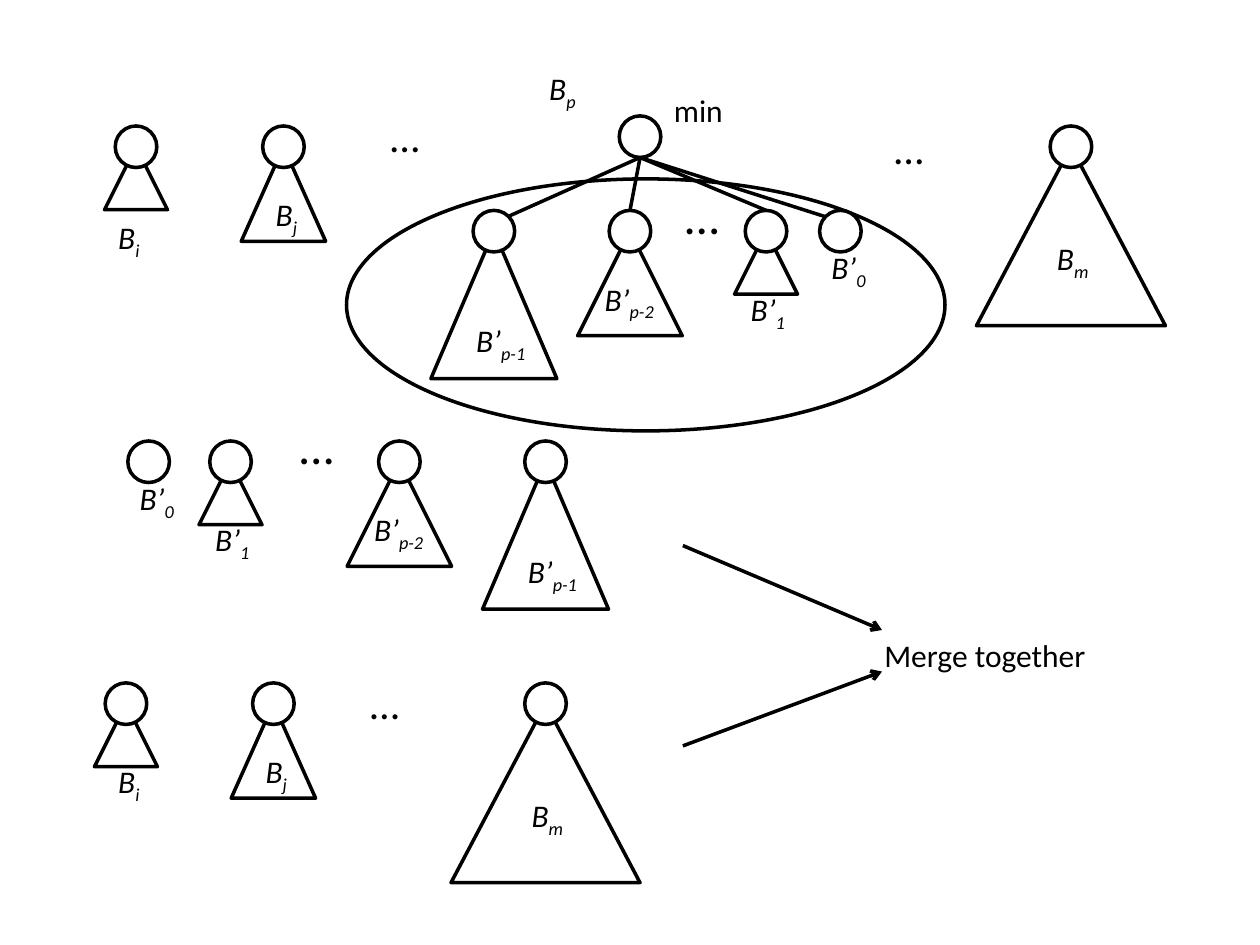
from lxml import etree
from pptx import Presentation
from pptx import util as u
from pptx.dml.color import RGBColor
from pptx.enum import shapes, text
from pptx.oxml.ns import qn

BLACK = RGBColor(0, 0, 0)
WHITE = RGBColor(255, 255, 255)
CIRCLE = 0.33

# Tree kind: (letter, subscript, triangle width, triangle height,
#             label dx, dy from the top centre of its circle, label width)
TREES = {
    "Bi": ("B", "i", 0.5, 0.5, -0.16, 0.58, 0.37),
    "Bj": ("B", "j", 0.67, 0.75, -0.16, 0.5, 0.37),
    "Bm": ("B", "m", 1.5, 1.42, -0.21, 0.85, 0.45),
    "Bp": ("B", "p", 0, 0, -0.82, -0.42, 0.41),
    "B'p-1": ("B’", "p-1", 1, 1.17, -0.24, 0.83, 0.59),
    "B'p-2": ("B’", "p-2", 0.83, 0.83, -0.3, 0.5, 0.59),
    "B'1": ("B’", "1", 0.5, 0.5, -0.22, 0.58, 0.47),
    "B'0": ("B’", "0", 0, 0, -0.17, 0.25, 0.47),
}


class HeapDiagram:
    """Style and current slide, with a method for each kind of element."""

    font = {"name": "Calibri", "size": u.Pt(18)}
    frame = {"word_wrap": False, "auto_size": text.MSO_AUTO_SIZE.SHAPE_TO_FIT_TEXT}
    line_width = u.Pt(2)

    def __init__(self, slide):
        self.slide = slide

    def outline(self, kind, left, top, width, height, parent=None):
        shape = (parent or self.slide).shapes.add_shape(
            kind, *map(u.Inches, (left, top, width, height)))
        shape.shadow.inherit = False
        shape.fill.solid()
        shape.fill.fore_color.rgb = WHITE
        shape.line.color.rgb = BLACK
        shape.line.width = self.line_width
        return shape

    def label(self, words, left, top, width, height=0.4, subscript=None,
              parent=None, **changes):
        box = (parent or self.slide).shapes.add_textbox(
            *map(u.Inches, (left, top, width, height)))
        for name, value in self.frame.items():
            setattr(box.text_frame, name, value)
        paragraph = box.text_frame.paragraphs[0]
        for part in filter(None, (words, subscript)):
            run = paragraph.add_run()
            run.text = part
            for name, value in {**self.font, **changes}.items():
                setattr(run.font, name, value)
            run.font.color.rgb = BLACK
        if subscript:
            run._r.get_or_add_rPr().set("baseline", "-25000")

    def dots(self, left, top, width, height, points):
        self.label("…", left, top, width, height, size=u.Pt(points))

    def tree(self, kind, center, top, nudge=(0, 0), grouped=False):
        letter, subscript, width, height, dx, dy, label_width = TREES[kind]
        parent = self.slide.shapes.add_group_shape() if grouped else None
        if width:
            self.outline(shapes.MSO_SHAPE.ISOSCELES_TRIANGLE, center - width / 2,
                         top + CIRCLE / 2, width, height, parent)
        circle = self.outline(shapes.MSO_SHAPE.OVAL, center - CIRCLE / 2, top,
                              CIRCLE, CIRCLE, parent)
        self.label(letter, center + dx + nudge[0], top + dy + nudge[1], label_width,
                   0.44, subscript, parent, italic=True)
        return circle

    def line(self, start, end, target=None, arrow=False):
        link = self.slide.shapes.add_connector(
            shapes.MSO_CONNECTOR.STRAIGHT, *map(u.Inches, (*start, *end)))
        if target is not None:
            link.end_connect(target, 0)
        link.line.color.rgb = BLACK
        link.line.width = self.line_width
        properties = link._element.spPr
        if arrow:
            etree.SubElement(properties.find(qn("a:ln")), qn("a:tailEnd"), type="arrow")
        etree.SubElement(properties, qn("a:effectLst"))


def main():
    deck = Presentation()
    deck.slide_width, deck.slide_height = u.Inches(10), u.Inches(7.5)
    heap = HeapDiagram(deck.slides.add_slide(deck.slide_layouts[6]))

    # Heap before the minimum is removed
    heap.outline(shapes.MSO_SHAPE.OVAL, 2.75, 1.42, 4.75, 2)
    heap.tree("Bi", 1.08, 1, nudge=(-0.08, 0.1))
    heap.tree("Bj", 2.25, 1)
    heap.tree("Bm", 8.5, 1)
    heap.dots(3, 0.83, 0.43, 0.5, 24)
    heap.dots(7, 0.92, 0.43, 0.5, 24)

    # Root with the minimum and its children
    heap.tree("Bp", 5.08, 0.92)
    heap.label("min", 5.25, 0.67, 0.59)
    children = {kind: heap.tree(kind, center, 1.67) for kind, center in
                (("B'p-1", 3.92), ("B'p-2", 5), ("B'1", 6.08), ("B'0", 6.67))}
    heap.dots(5.34, 1.42, 0.47, 0.57, 28)
    root = (5.08, 1.25)
    heap.line(root, (4.03, 1.72))
    heap.line(root, (5, 1.67), children["B'p-2"])
    heap.line(root, (6.08, 1.67), children["B'1"])
    heap.line(root, (6.55, 1.72))

    # Children in reverse order
    for kind, center in (("B'p-1", 4.33), ("B'p-2", 3.17), ("B'1", 1.83), ("B'0", 1.18)):
        heap.tree(kind, center, 3.5, grouped=True)
    heap.dots(2.28, 3.25, 0.47, 0.57, 28)

    # Remaining trees
    for kind, center in (("Bi", 1), ("Bj", 2.17), ("Bm", 4.33)):
        heap.tree(kind, center, 5.42)
    heap.dots(2.84, 5.33, 0.43, 0.5, 24)

    # Merge of the two lists
    heap.line((5.42, 4.33), (7, 5), arrow=True)
    heap.line((5.42, 5.92), (7, 5.33), arrow=True)
    heap.label("Merge together", 6.92, 5, 1.81)

    deck.save("out.pptx")


if __name__ == "__main__":
    main()
